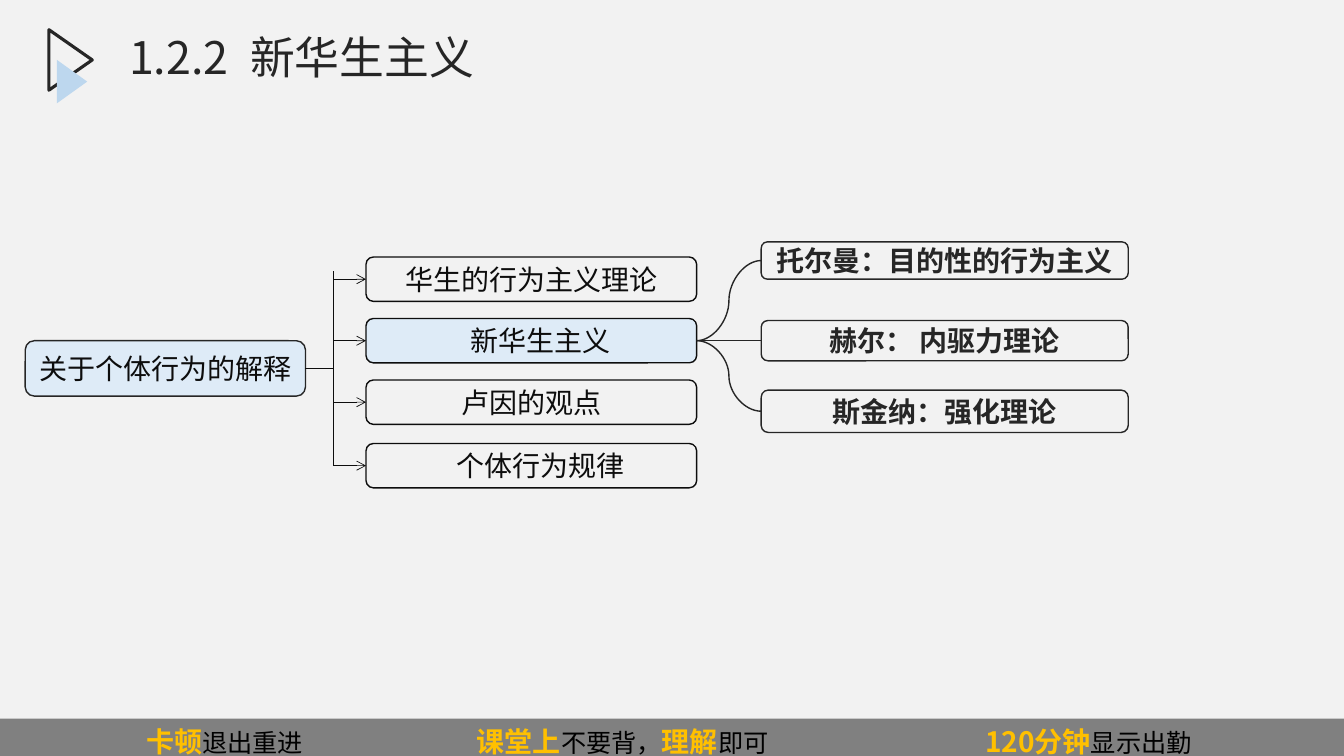
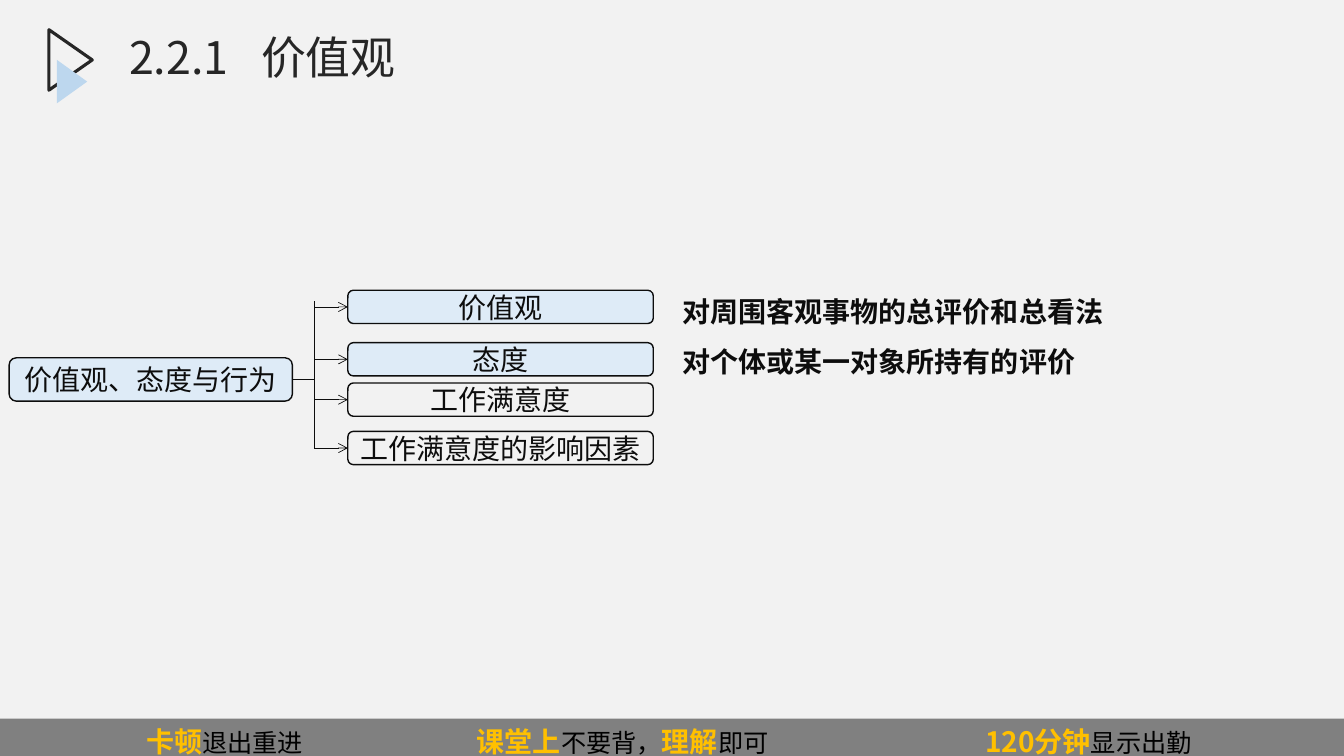
from dataclasses import dataclass

from lxml.etree import SubElement
from pptx import Presentation
from pptx.dml.color import RGBColor
from pptx.enum.shapes import MSO_CONNECTOR as CONN, MSO_SHAPE as SHAPE
from pptx.enum.text import MSO_ANCHOR as ANCHOR, MSO_AUTO_SIZE as AUTO, PP_ALIGN as ALIGN
from pptx.oxml.ns import qn
from pptx.util import Inches, Pt


@dataclass(frozen=True)
class Theme:
    font: str = "Noto Sans CJK SC"
    page: str = "F2F2F2"
    dark: str = "262626"
    ink: str = "0D0D0D"
    black: str = "000000"
    pale: str = "DEEBF7"
    accent: str = "BDD7EE"
    band: str = "808080"
    gold: str = "FFC000"
    title_size: int = 32
    body_size: int = 20
    small_size: int = 18
    box_line: float = 1
    thin_line: float = 0.5
    mark_line: float = 2.25


T = Theme()
STRONG = dict(size=T.body_size, color=T.gold, bold=True)
PLAIN = dict(size=T.small_size, color=T.black)

# Footer groups: left edge in inches, then (text, format) runs
FOOTER = [
    (1.45, [("卡顿", STRONG), ("退出重进", PLAIN)]),
    (4.73, [("课堂上", STRONG), ("不要背，", PLAIN), ("理解", STRONG), ("即可", PLAIN)]),
    (9.77, [("120分钟", STRONG), ("显示出勤", PLAIN)]),
]

# Boxes are (left, top, width, height); branches are (top, text, highlighted, indent)
SLIDES = [
    dict(
        number="1.2.2", title="新华生主义", title_tab=1.2,
        root=((0.25, 3.38, 2.78, 0.55), "关于个体行为的解释"), root_line=T.dark,
        spine=(3.31, 2.69, 4.62),
        column=(3.63, 3.28, 0.44),
        branches=[
            (2.55, "华生的行为主义理论", False, 0),
            (3.16, "新华生主义", True, 0.19),
            (3.77, "卢因的观点", False, 0),
            (4.4, "个体行为规律", False, 0.19),
        ],
        theory_parent=1,
        theories=[
            ((7.55, 2.4, 3.64, 0.37), "托尔曼：目的性的行为主义"),
            ((7.55, 3.18, 3.64, 0.4), "赫尔： 内驱力理论"),
            ((7.55, 3.87, 3.64, 0.42), "斯金纳：强化理论"),
        ],
        notes=[],
    ),
    dict(
        number="2.2.1", title="价值观", title_tab=1.31,
        root=((0.09, 3.55, 2.81, 0.43), "价值观、态度与行为"), root_line=T.ink,
        spine=(3.12, 2.99, 4.45),
        column=(3.45, 3.03, 0.33),
        branches=[
            (2.88, "价值观", True, 0),
            (3.4, "态度", True, 0),
            (3.8, "工作满意度", False, 0),
            (4.28, "工作满意度的影响因素", False, 0),
        ],
        theory_parent=None,
        theories=[],
        notes=[
            ((6.67, 2.87, 4.38, 0.44), "对周围客观事物的总评价和总看法"),
            ((6.67, 3.37, 4.1, 0.44), "对个体或某一对象所持有的评价"),
        ],
    ),
]


def rgb(value):
    return RGBColor.from_string(value)


def add_run(p, text, size=T.body_size, color=T.ink, bold=False):
    r = p.add_run()
    r.text = text
    r.font.size, r.font.bold = Pt(size), bold
    r.font.color.rgb = rgb(color)
    r.font.name = T.font
    SubElement(r._r.get_or_add_rPr(), qn("a:ea"), typeface=T.font)


def add_tabs(p, stops):
    tabs = SubElement(p._p.get_or_add_pPr(), qn("a:tabLst"))
    for stop in stops:
        SubElement(tabs, qn("a:tab"), pos=str(Inches(stop)), algn="l")


def add_shape(slide, kind, box, fill=None, line=None, width=T.box_line):
    sp = slide.shapes.add_shape(kind, *map(Inches, box))
    sp.shadow.inherit = False
    if fill:
        sp.fill.solid()
        sp.fill.fore_color.rgb = rgb(fill)
    else:
        sp.fill.background()
    if line:
        sp.line.color.rgb = rgb(line)
        sp.line.width = Pt(width)
    else:
        sp.line.fill.background()
    tf = sp.text_frame
    tf.margin_left = tf.margin_right = tf.margin_top = tf.margin_bottom = 0
    tf.vertical_anchor = ANCHOR.MIDDLE
    return sp


def add_box(slide, box, text, fill=None, line=T.ink, indent=0, **fmt):
    sp = add_shape(slide, SHAPE.ROUNDED_RECTANGLE, box, fill, line)
    sp.text_frame.margin_left = Inches(indent)
    p = sp.text_frame.paragraphs[0]
    p.alignment = ALIGN.CENTER
    add_run(p, text, **fmt)
    return sp


def middle(sp):
    return sp.top + sp.height // 2


def add_line(slide, start, end, kind=CONN.STRAIGHT, color=T.ink,
             width=T.thin_line, arrow=False, source=None, target=None):
    """Lines run left to right: from the source's right side to the target's left."""
    cx = slide.shapes.add_connector(kind, *start, *end)
    if source is not None:
        cx.begin_connect(source, 3)
    if target is not None:
        cx.end_connect(target, 1)
    cx.line.color.rgb = rgb(color)
    cx.line.width = Pt(width)
    if arrow:
        SubElement(cx.line._get_or_add_ln(), qn("a:tailEnd"), type="arrow")
    SubElement(cx._element.spPr, qn("a:effectLst"))


def add_frame(slide):
    """Page colour, corner mark and footer band."""
    slide.background.fill.solid()
    slide.background.fill.fore_color.rgb = rgb(T.page)
    marks = [
        add_shape(slide, SHAPE.ISOSCELES_TRIANGLE, (0.4, 0.38, 0.6, 0.43),
                  line=T.dark, width=T.mark_line),
        add_shape(slide, SHAPE.ISOSCELES_TRIANGLE, (0.5, 0.66, 0.43, 0.3), fill=T.accent),
    ]
    for mark in marks:
        mark.rotation = 90
    band = add_shape(slide, SHAPE.RECTANGLE, (0, 7.13, 13.33, 0.44), fill=T.band)
    p = band.text_frame.paragraphs[0]
    p.alignment = ALIGN.LEFT
    add_tabs(p, [left for left, _ in FOOTER])
    for _, runs in FOOTER:
        for i, (text, fmt) in enumerate(runs):
            add_run(p, text if i else "\t" + text, **fmt)


def set_title(slide, number, title, tab):
    sp = slide.shapes.title
    sp.left, sp.top, sp.width, sp.height = map(Inches, (1.18, 0.3, 7.63, 0.89))
    tf = sp.text_frame
    tf.auto_size, tf.vertical_anchor = AUTO.NONE, ANCHOR.TOP
    p = tf.paragraphs[0]
    p.alignment, p.line_spacing = ALIGN.LEFT, 0.9
    add_tabs(p, [tab])
    add_run(p, f"{number}\t{title}", size=T.title_size, color=T.dark)


def add_tree(slide, data):
    root_box, root_text = data["root"]
    root = add_box(slide, root_box, root_text, fill=T.pale, line=data["root_line"])
    x, top, bottom = map(Inches, data["spine"])
    add_line(slide, (x, bottom), (x, top))
    add_line(slide, (root.left + root.width, middle(root)), (x, middle(root)), source=root)

    left, width, height = data["column"]
    branches = []
    for y, text, highlighted, indent in data["branches"]:
        sp = add_box(slide, (left, y, width, height), text,
                     fill=T.pale if highlighted else None, indent=indent)
        add_line(slide, (x, middle(sp)), (sp.left, middle(sp)), arrow=True, target=sp)
        branches.append(sp)

    for box, text in data["theories"]:
        parent = branches[data["theory_parent"]]
        sp = add_box(slide, box, text, line=T.dark, color=T.dark, bold=True)
        level = abs(middle(sp) - middle(parent)) < Inches(0.01)
        add_line(slide, (parent.left + parent.width, middle(parent)), (sp.left, middle(sp)),
                 kind=CONN.STRAIGHT if level else CONN.CURVE, color=T.dark,
                 width=T.box_line, source=parent, target=sp)


def add_note(slide, box, text):
    tf = slide.shapes.add_textbox(*map(Inches, box)).text_frame
    tf.word_wrap = False
    add_run(tf.paragraphs[0], text, bold=True)


def main():
    prs = Presentation()
    prs.slide_width, prs.slide_height = Inches(13.33), Inches(7.5)
    for data in SLIDES:
        slide = prs.slides.add_slide(prs.slide_layouts[5])
        add_frame(slide)
        set_title(slide, data["number"], data["title"], data["title_tab"])
        add_tree(slide, data)
        for box, text in data["notes"]:
            add_note(slide, box, text)
    prs.save("out.pptx")


if __name__ == "__main__":
    main()
